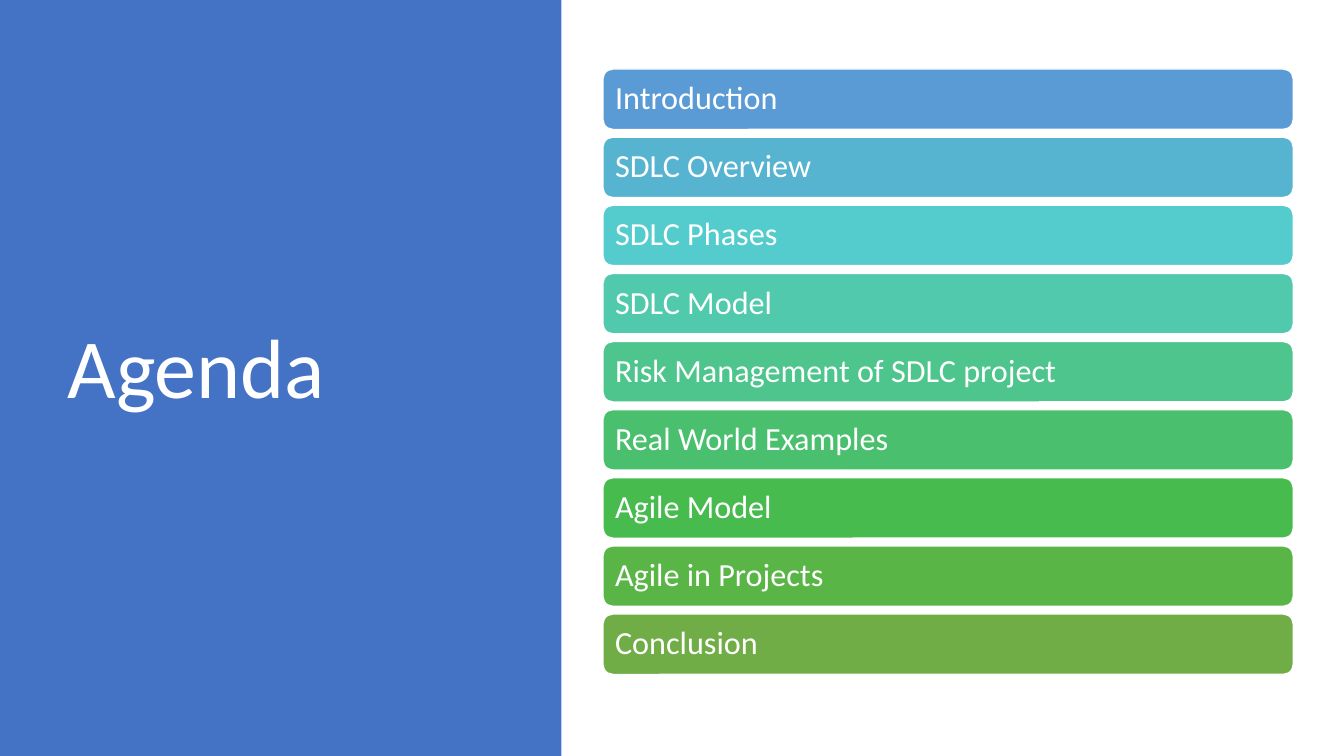
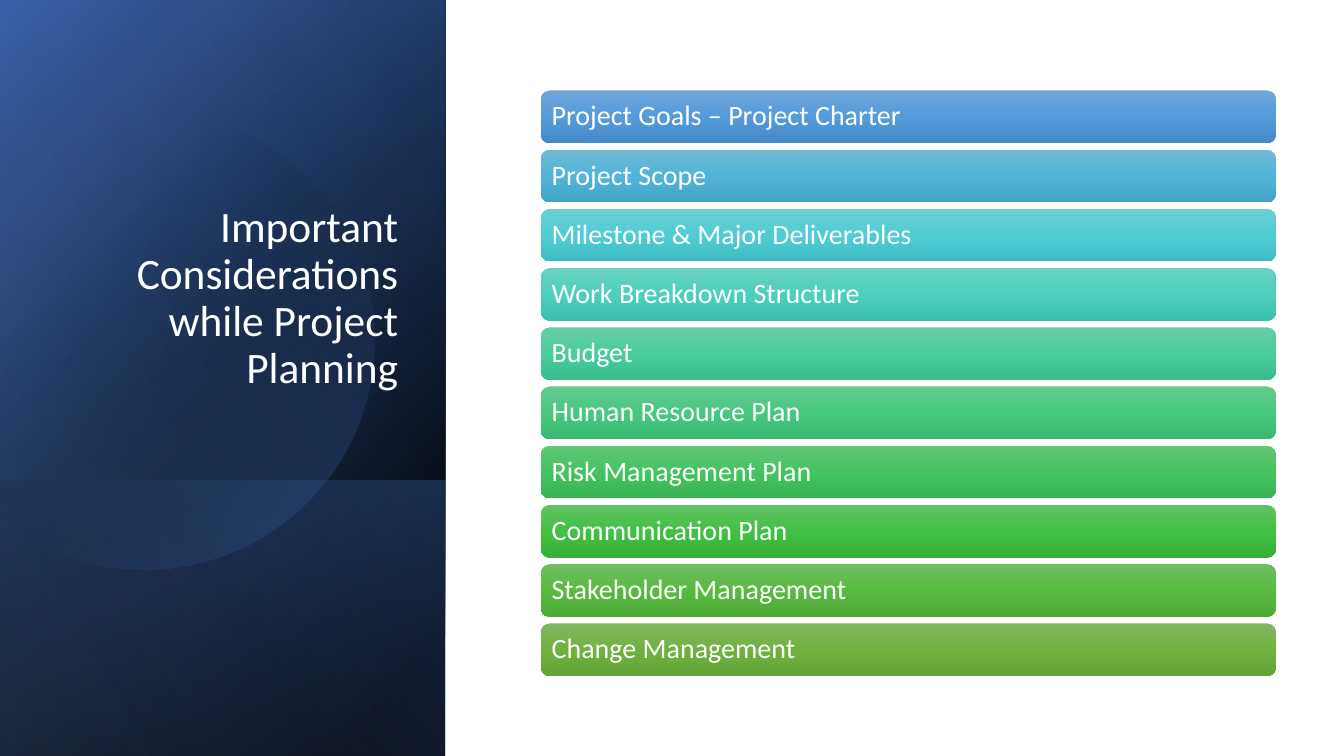
from dataclasses import dataclass
from itertools import pairwise
from math import cos, radians, sin, tan
from typing import NamedTuple

from lxml import etree
from pptx import Presentation
from pptx.dml.color import RGBColor
from pptx.enum.shapes import MSO_SHAPE as Shape
from pptx.enum.text import MSO_ANCHOR as Anchor, MSO_AUTO_SIZE as AutoSize, PP_ALIGN as Align
from pptx.oxml.ns import qn
from pptx.util import Pt

SLIDE_WIDTH, SLIDE_HEIGHT = 960, 540
TITLE_ONLY = 5
FONT = "Calibri"
WHITE = RGBColor(0xFF, 0xFF, 0xFF)
BLACK = RGBColor(0x00, 0x00, 0x00)
BLUE = RGBColor(0x44, 0x72, 0xC4)
DARK_BLUE = RGBColor(0x2F, 0x55, 0x97)
PALE_BLUE = RGBColor(0x8F, 0xAA, 0xDC)

AGENDA_PANEL_WIDTH = 401
PLANNING_PANEL_WIDTH = 318


class Frame(NamedTuple):
    left: float
    top: float
    width: float
    height: float


class Stop(NamedTuple):
    position: int
    color: RGBColor
    opacity: int = 100


class Layer(NamedTuple):
    """A gradient sheet from top down to the slide's lower edge."""
    top: float
    stops: list[Stop]
    angle: int


class Bar(NamedTuple):
    text: str
    colors: str


@dataclass
class BarList:
    first: Frame
    pitch: float
    inset: float
    font_size: int
    outlined: bool
    bars: list[Bar]


AGENDA = BarList(Frame(430.6, 49.3, 493.2, 43.2), 48.66, 6.6, 23, True, [
    Bar("Introduction", "5B9BD5"),
    Bar("SDLC Overview", "57B4D1"),
    Bar("SDLC Phases", "54CCCD"),
    Bar("SDLC Model", "51C9AD"),
    Bar("Risk Management of SDLC project", "4DC58D"),
    Bar("Real World Examples", "4AC06E"),
    Bar("Agile Model", "48BB4F"),
    Bar("Agile in Projects", "59B546"),
    Bar("Conclusion", "70AD47"),
])

CONSIDERATIONS = BarList(Frame(386.4, 64.6, 525, 37.6), 42.3, 5.8, 20, False, [
    Bar("Project Goals – Project Charter", "71A6DB 559BDB 448ACA"),
    Bar("Project Scope", "6FBAD7 52B4D8 42A3C7"),
    Bar("Milestone & Major Deliverables", "6CCED4 4FCCD4 3FBCC3"),
    Bar("Work Breakdown Structure", "6AD1C0 4CD0BC 3CC0AC"),
    Bar("Budget", "68CDA6 49CD9D 3ABD8E"),
    Bar("Human Resource Plan", "66CA8E 46C97F 38B970"),
    Bar("Risk Management Plan", "64C677 44C460 36B552"),
    Bar("Communication Plan", "63C264 41C043 34B136"),
    Bar("Stakeholder Management", "70BE61 58BA41 4CAA35"),
    Bar("Change Management", "81B861 6FB242 62A336"),
])

BACK_LAYERS = [
    Layer(0, [Stop(8, BLACK), Stop(100, DARK_BLUE)], 50),
    Layer(0, [Stop(0, BLACK, 0), Stop(99, BLUE, 46)], 30),
    Layer(343, [Stop(2, BLUE, 29), Stop(100, BLACK, 30)], 130),
]
FRONT_LAYER = Layer(0, [Stop(0, BLACK, 0), Stop(99, PALE_BLUE, 11)], 120)


def set_values(target, values: dict) -> None:
    for name, value in values.items():
        setattr(target, name, value)


def fill_shape(shape, stops: list[Stop], angle: int = 90) -> None:
    """Fill with one plain colour, or with a gradient at a clockwise angle."""
    shape.shadow.inherit = False
    shape.line.fill.background()
    if len(stops) == 1:
        shape.fill.solid()
        shape.fill.fore_color.rgb = stops[0].color
        return
    shape.fill.gradient()
    shape.fill.gradient_angle = 360 - angle
    stop_list = shape.element.spPr.find(qn("a:gradFill")).find(qn("a:gsLst"))
    for old_stop in list(stop_list):
        stop_list.remove(old_stop)
    for stop in stops:
        entry = etree.SubElement(stop_list, qn("a:gs"), pos=str(stop.position * 1000))
        color = etree.SubElement(entry, qn("a:srgbClr"), val=str(stop.color))
        if stop.opacity < 100:
            etree.SubElement(color, qn("a:alpha"), val=str(stop.opacity * 1000))


def add_shape(slide, kind: Shape, frame: Frame, stops: list[Stop], angle: int = 90):
    shape = slide.shapes.add_shape(kind, *map(Pt, frame))
    fill_shape(shape, stops, angle)
    return shape


def write_text(shape, text: str, font_size: int, align: Align, anchor: Anchor) -> None:
    text_frame = shape.text_frame
    text_frame.text = text
    set_values(text_frame, {"word_wrap": True, "auto_size": AutoSize.NONE,
                            "vertical_anchor": anchor})
    paragraph = text_frame.paragraphs[0]
    set_values(paragraph, {"alignment": align, "line_spacing": 0.9})
    set_values(paragraph.font, {"name": FONT, "size": Pt(font_size)})
    paragraph.font.color.rgb = WHITE


def add_title(slide, text: str, frame: Frame, font_size: int,
              align: Align, anchor: Anchor) -> None:
    """Place the title placeholder in front of the panel drawn before it."""
    title = slide.shapes.title
    set_values(title, {name: Pt(value) for name, value in frame._asdict().items()})
    write_text(title, text, font_size, align, anchor)
    title.element.getparent().append(title.element)


def add_bars(slide, bar_list: BarList) -> None:
    first = bar_list.first
    for row, bar in enumerate(bar_list.bars):
        stops = [Stop(50 * index, RGBColor.from_string(color))
                 for index, color in enumerate(bar.colors.split())]
        frame = first._replace(top=first.top + row * bar_list.pitch)
        shape = add_shape(slide, Shape.ROUNDED_RECTANGLE, frame, stops)
        if bar_list.outlined:
            shape.line.color.rgb = WHITE
            shape.line.width = Pt(1)
        write_text(shape, bar.text, bar_list.font_size, Align.LEFT, Anchor.MIDDLE)
        set_values(shape.text_frame, {"margin_left": Pt(bar_list.inset),
                                      "margin_right": Pt(bar_list.inset)})


def add_layer(slide, layer: Layer) -> None:
    """Draw a mirrored sheet on its side, so that its gradient turns with it."""
    height = SLIDE_HEIGHT - layer.top
    offset = (PLANNING_PANEL_WIDTH - height) / 2
    frame = Frame(offset, layer.top - offset, height, PLANNING_PANEL_WIDTH)
    shape = add_shape(slide, Shape.RECTANGLE, frame, layer.stops, layer.angle)
    shape.rotation = 90
    shape.element.spPr.xfrm.set("flipH", "1")


def add_glow(slide) -> None:
    """Draw a circle cut off by a vertical chord, its arcs as Bézier curves."""
    center_x, center_y, radius = Pt(103), Pt(242.6), Pt(164.2)
    degrees = [-134, -90, 0, 90, 134]
    offsets = [(radius * cos(radians(degree)), radius * sin(radians(degree)))
               for degree in degrees]
    points = [(round(center_x + x), round(center_y + y)) for x, y in offsets]
    builder = slide.shapes.build_freeform(*points[0])
    builder.add_line_segments(points[1:], close=True)
    shape = builder.convert_to_shape()
    lines = list(shape.element.spPr.iter(qn("a:lnTo")))
    arcs = zip(lines, pairwise(degrees), pairwise(offsets))
    for line, (start, end), ((start_x, start_y), (end_x, end_y)) in arcs:
        reach = 4 / 3 * tan(radians(end - start) / 4)
        curve = etree.Element(qn("a:cubicBezTo"))
        for x, y in ((start_x - reach * start_y, start_y + reach * start_x),
                     (end_x + reach * end_y, end_y - reach * end_x),
                     (end_x, end_y)):
            etree.SubElement(curve, qn("a:pt"), x=str(round(center_x + x - shape.left)),
                             y=str(round(center_y + y - shape.top)))
        line.getparent().replace(line, curve)
    fill_shape(shape, [Stop(29, BLACK, 0), Stop(100, BLUE, 43)], 46)


def add_slide(presentation):
    return presentation.slides.add_slide(presentation.slide_layouts[TITLE_ONLY])


def build_agenda(presentation) -> None:
    slide = add_slide(presentation)
    panel = Frame(0, 0, AGENDA_PANEL_WIDTH, SLIDE_HEIGHT)
    add_shape(slide, Shape.RECTANGLE, panel, [Stop(0, BLUE)])
    add_title(slide, "Agenda", Frame(41, 48.5, 299.5, 433.5), 60, Align.LEFT, Anchor.MIDDLE)
    add_bars(slide, AGENDA)


def build_considerations(presentation) -> None:
    slide = add_slide(presentation)
    for layer in BACK_LAYERS:
        add_layer(slide, layer)
    add_glow(slide)
    add_layer(slide, FRONT_LAYER)
    add_title(slide, "Important Considerations while Project Planning",
              Frame(46, 129, 245.5, 155), 31, Align.RIGHT, Anchor.BOTTOM)
    add_bars(slide, CONSIDERATIONS)


def main() -> None:
    presentation = Presentation()
    set_values(presentation, {"slide_width": Pt(SLIDE_WIDTH), "slide_height": Pt(SLIDE_HEIGHT)})
    build_agenda(presentation)
    build_considerations(presentation)
    presentation.save("out.pptx")


if __name__ == "__main__":
    main()
